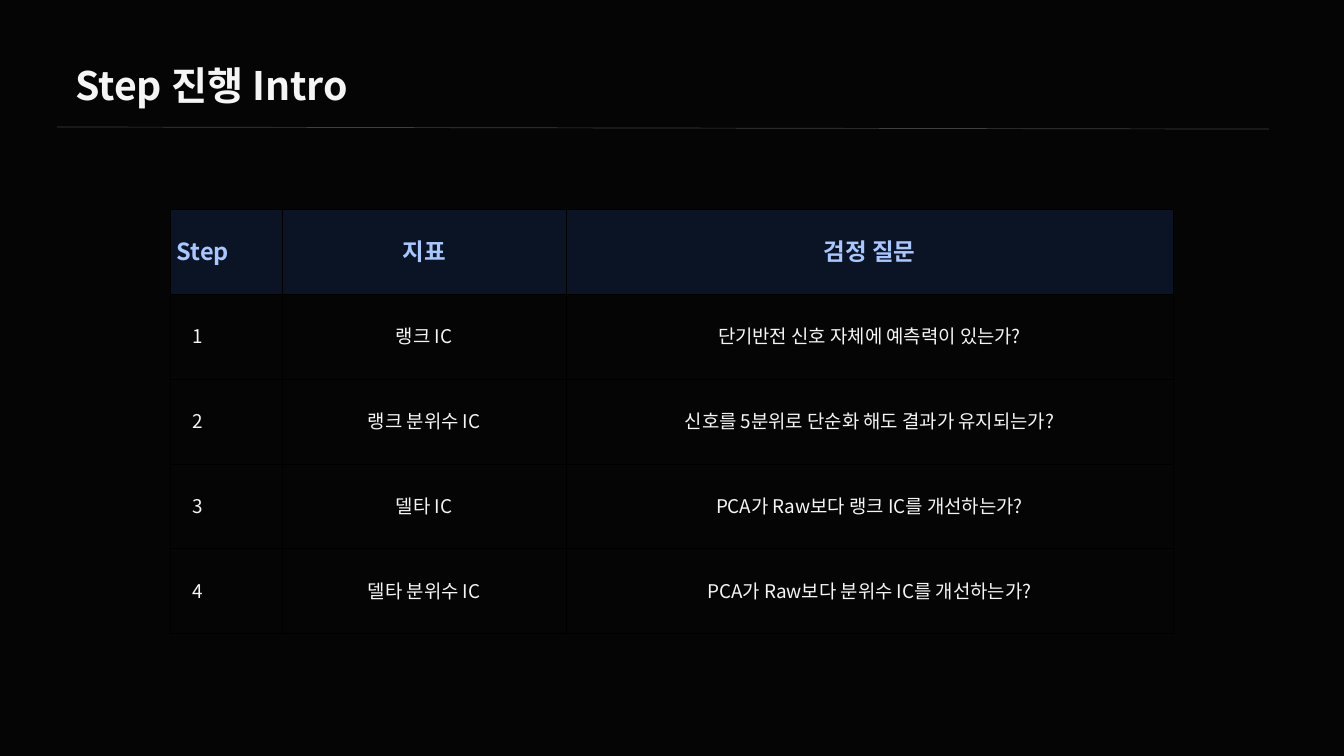
from lxml import etree
from pptx import Presentation
from pptx.dml.color import RGBColor
from pptx.enum.shapes import MSO_CONNECTOR
from pptx.enum.text import MSO_ANCHOR, MSO_AUTO_SIZE, PP_ALIGN
from pptx.oxml import parse_xml
from pptx.oxml.ns import nsdecls, qn
from pptx.util import Cm, Pt

LEFT, MID = PP_ALIGN.LEFT, PP_ALIGN.CENTER
TOP, CENTER = MSO_ANCHOR.TOP, MSO_ANCHOR.MIDDLE
NO_FIT = MSO_AUTO_SIZE.NONE
STRAIGHT = MSO_CONNECTOR.STRAIGHT

FONT = "Noto Sans CJK KR"
BLACK = RGBColor(0x05, 0x05, 0x05)
WHITE = RGBColor(0xF5, 0xF5, 0xF5)
NAVY = RGBColor(0x0A, 0x14, 0x25)
BLUE = RGBColor(0xA9, 0xC7, 0xFF)
GRAY = RGBColor(0x3F, 0x3F, 0x3F)
EDGE = RGBColor(0x00, 0x00, 0x00)


def write(frame, text, size, lead, color=WHITE, bold=False, align=LEFT):
    """Put one formatted line of text into a frame."""
    para = frame.paragraphs[0]
    para.alignment = align
    para.line_spacing = Pt(lead)
    para.space_before = Pt(0)
    run = para.add_run()
    run.text = text
    font = run.font
    font.name, font.size, font.bold = FONT, Pt(size), bold
    font.color.rgb = color
    # Korean glyphs take the East Asian typeface
    east = etree.SubElement(font._element, qn("a:ea"))
    east.set("typeface", FONT)


def border(cell):
    """Draw a thin line on all four sides of a cell."""
    props = cell._tc.get_or_add_tcPr()
    for spot, side in enumerate("LRTB"):
        props.insert(spot, parse_xml(
            f'<a:ln{side} {nsdecls("a")} w="{Pt(0.37)}"><a:solidFill>'
            f'<a:srgbClr val="{EDGE}"/></a:solidFill></a:ln{side}>'))


# Slide and background
deck = Presentation()
deck.slide_width, deck.slide_height = Cm(50.8), Cm(28.58)
slide = deck.slides.add_slide(deck.slide_layouts[5])
back = slide.background.fill
back.solid()
back.fore_color.rgb = BLACK

# Step table
HEAD = ["Step", "지표", "검정 질문"]
STEPS = [
    ["1", "랭크 IC", "단기반전 신호 자체에 예측력이 있는가?"],
    ["2", "랭크 분위수 IC", "신호를 5분위로 단순화 해도 결과가 유지되는가?"],
    ["3", "델타 IC", "PCA가 Raw보다 랭크 IC를 개선하는가?"],
    ["4", "델타 분위수 IC", "PCA가 Raw보다 분위수 IC를 개선하는가?"],
]
WIDTHS = [4.24, 10.72, 22.94]
ROW = 3.21
rows = [HEAD] + STEPS
table = slide.shapes.add_table(
    len(rows), len(HEAD), Cm(6.43), Cm(7.9),
    Cm(sum(WIDTHS)), Cm(ROW * len(rows))).table
table.first_row = table.horz_banding = False
for col, width in zip(table.columns, WIDTHS):
    col.width = Cm(width)

for r, texts in enumerate(rows):
    table.rows[r].height = Cm(ROW)
    top = r == 0
    style = (dict(size=25.2, lead=34.8, color=BLUE, bold=True) if top
             else dict(size=20.2, lead=27.9))
    for c, text in enumerate(texts):
        cell = table.cell(r, c)
        cell.fill.solid()
        cell.fill.fore_color.rgb = NAVY if top else BLACK
        border(cell)
        cell.vertical_anchor = CENTER
        cell.margin_left = cell.margin_right = Cm(0.25)
        cell.margin_top = cell.margin_bottom = Cm(0.25)
        # Step numbers sit inward from their heading
        if c == 0 and not top:
            cell.margin_left = Cm(0.85)
        write(cell.text_frame, text, align=MID if c else LEFT, **style)

# Title
title = slide.shapes.title
title.left, title.top = Cm(2.84), Cm(2.39)
title.width, title.height = Cm(17.2), Cm(1.73)
frame = title.text_frame
frame.auto_size = NO_FIT
frame.word_wrap = True
frame.vertical_anchor = TOP
frame.margin_left = frame.margin_right = 0
frame.margin_top = frame.margin_bottom = 0
write(frame, "Step 진행 Intro", size=42, lead=48.4, bold=True)

# Rule under the title
rule = slide.shapes.add_connector(
    STRAIGHT, Cm(2.16), Cm(4.8), Cm(47.96), Cm(4.88))
rule.line.color.rgb = GRAY
rule.line.width = Pt(0.75)
etree.SubElement(rule._element.spPr, qn("a:effectLst"))

deck.save("out.pptx")
